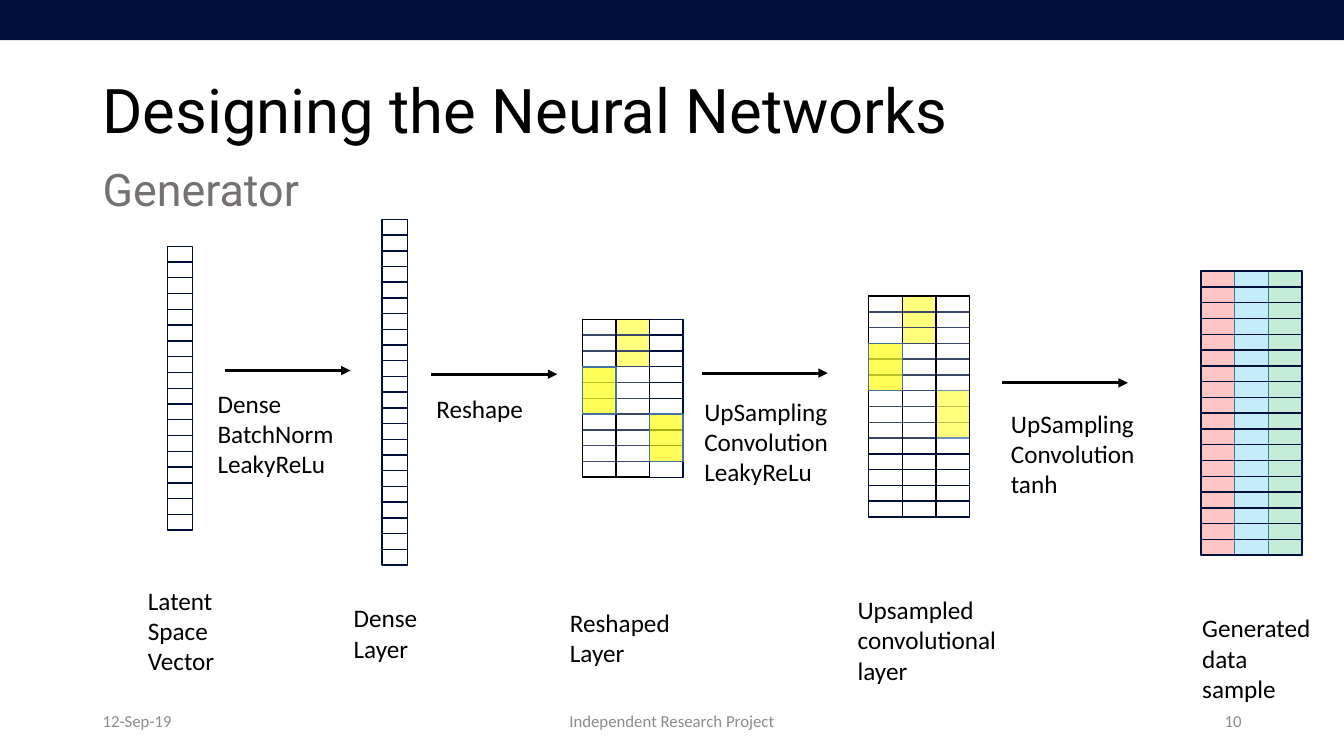
from lxml.etree import SubElement as Sub
from pptx import Presentation
from pptx.dml.color import RGBColor as RGB
from pptx.enum.shapes import MSO_CONNECTOR as Link, MSO_SHAPE as Form
from pptx.enum.text import MSO_ANCHOR as Anchor, PP_ALIGN as Align
from pptx.oxml.ns import qn
from pptx.util import Pt

NAVY = RGB(0x01, 0x10, 0x3B)
BLUE = RGB(0x43, 0x73, 0x9E)
BLACK = RGB(0, 0, 0)
WHITE = RGB(255, 255, 255)
YELLOW = RGB(255, 255, 0)
RED = RGB(255, 0, 0)
SKY = RGB(0, 0xB0, 0xF0)
GREEN = RGB(0, 0xB0, 0x50)
GREY = RGB(0x8C, 0x8C, 0x8C)
TAUPE = RGB(0x76, 0x71, 0x71)

ROW = 11.27  # row height
COL = 24     # column width

deck = Presentation()
deck.slide_width, deck.slide_height = Pt(960), Pt(540)
slide = deck.slides.add_slide(deck.slide_layouts[6])
shapes = slide.shapes


def add_rect(x, y, w, h, fill=None, alpha=100, line=None):
    rect = shapes.add_shape(Form.RECTANGLE, Pt(x), Pt(y), Pt(w), Pt(h))
    rect.shadow.inherit = False
    if fill is None:
        rect.fill.background()
    else:
        rect.fill.solid()
        rect.fill.fore_color.rgb = fill
        if alpha < 100:
            color = rect._element.spPr.find(qn("a:solidFill"))[0]
            Sub(color, qn("a:alpha"), val=str(alpha * 1000))
    if line is None:
        rect.line.fill.background()
    else:
        rect.line.color.rgb = line
        rect.line.width = Pt(1)


def add_text(text, x, y, w, h, color=BLACK, wrap=True, anchor=Anchor.TOP,
             align=Align.LEFT, gap=1.0, **style):
    frame = shapes.add_textbox(Pt(x), Pt(y), Pt(w), Pt(h)).text_frame
    frame.word_wrap = wrap
    frame.vertical_anchor = anchor
    frame.text = text
    for para in frame.paragraphs:
        para.alignment = align
        para.line_spacing = gap
        para.font.color.rgb = color
        for key, value in style.items():
            setattr(para.font, key, value)


# Top band, title and subtitle
add_rect(0, 0, 960, 28.8, NAVY)
for text, y, size, color in (("Designing the Neural Networks", 28.8, 44, BLACK),
                             ("Generator", 85, 32, TAUPE)):
    add_text(text, 66.2, y, 828, 104.4, color, anchor=Anchor.MIDDLE, gap=0.9,
             name="Roboto", size=Pt(size))

# Generated sample: colour columns under a grid
for i, color in enumerate((RED, SKY, GREEN)):
    add_rect(858 + i * COL, 193.7, COL, 18 * ROW, color, 23, BLUE)

# Single stacks of rows: left, top, width, count, pitch
for x, y, w, count, pitch in ((858, 193.7, 72, 18, ROW),
                              (119.5, 175.9, 18, 18, ROW),
                              (272.9, 156.7, 18, 22, 11.22)):
    for i in range(count):
        add_rect(x, y + i * pitch, w, ROW, line=NAVY)

# Layers with filter windows; the taller one has extra rows
for x, y, extra in ((416, 228.2, 0), (620.5, 211.5, 4)):
    tall = (10 + extra) * ROW
    add_rect(x + COL, y, COL, 3 * ROW, YELLOW, 66, BLUE)
    for i in range(10):
        add_rect(x, y + i * ROW, 3 * COL, ROW, line=NAVY)
    for i in range(2):
        add_rect(x + i * COL, y, COL, tall, WHITE, 23, BLACK)
    for col, row in ((0, 3), (2, 6)):
        add_rect(x + col * COL, y + row * ROW, COL, 3 * ROW, YELLOW, 66, BLUE)
    if extra:
        add_rect(x + 2 * COL, y, COL, tall, WHITE, 23, BLACK)
    for i in range(10, 10 + extra):
        add_rect(x, y + i * ROW, 3 * COL, ROW, line=NAVY)

# Arrows
for x, y in ((160.6, 264.7), (308.2, 267.3), (501.5, 266.5), (715.8, 273.5)):
    arrow = shapes.add_connector(Link.STRAIGHT, Pt(x), Pt(y), Pt(x + 89.8), Pt(y))
    arrow.line.color.rgb = BLACK
    arrow.line.width = Pt(2.25)
    Sub(arrow.line._get_or_add_ln(), qn("a:tailEnd"), type="triangle")
    Sub(arrow._element.spPr, qn("a:effectLst"))

# Step and layer labels
for text, x, y, w, h in (
        ("Dense\nBatchNorm\nLeakyReLu", 148.3, 273.6, 98, 72.7),
        ("Reshape", 304.6, 277.5, 77, 29),
        ("UpSampling\nConvolution\nLeakyReLu", 496, 279.5, 108, 72.7),
        ("UpSampling\nConvolution\ntanh", 715, 288, 108, 72.7),
        ("Latent Space Vector", 98.5, 414.2, 82, 72.7),
        ("Dense\nLayer", 245.5, 427, 65, 51),
        ("Reshaped\nLayer", 400, 430.4, 91, 51),
        ("Upsampled\nconvolutional\nlayer", 605.5, 421, 119, 72.7),
        ("Generated\ndata\nsample", 851.6, 434, 93, 72.7)):
    add_text(text, x, y, w, h, wrap=text.startswith("Latent"),
             name="Calibri", size=Pt(18))

# Footer
for text, x, w, align in (("12-Sep-19", 66.2, 216, Align.LEFT),
                          ("Independent Research Project", 318, 324, Align.CENTER),
                          ("10", 678, 216, Align.RIGHT)):
    add_text(text, x, 500.5, w, 28.8, GREY, anchor=Anchor.MIDDLE, align=align,
             name="Calibri", size=Pt(12))

deck.save("out.pptx")
